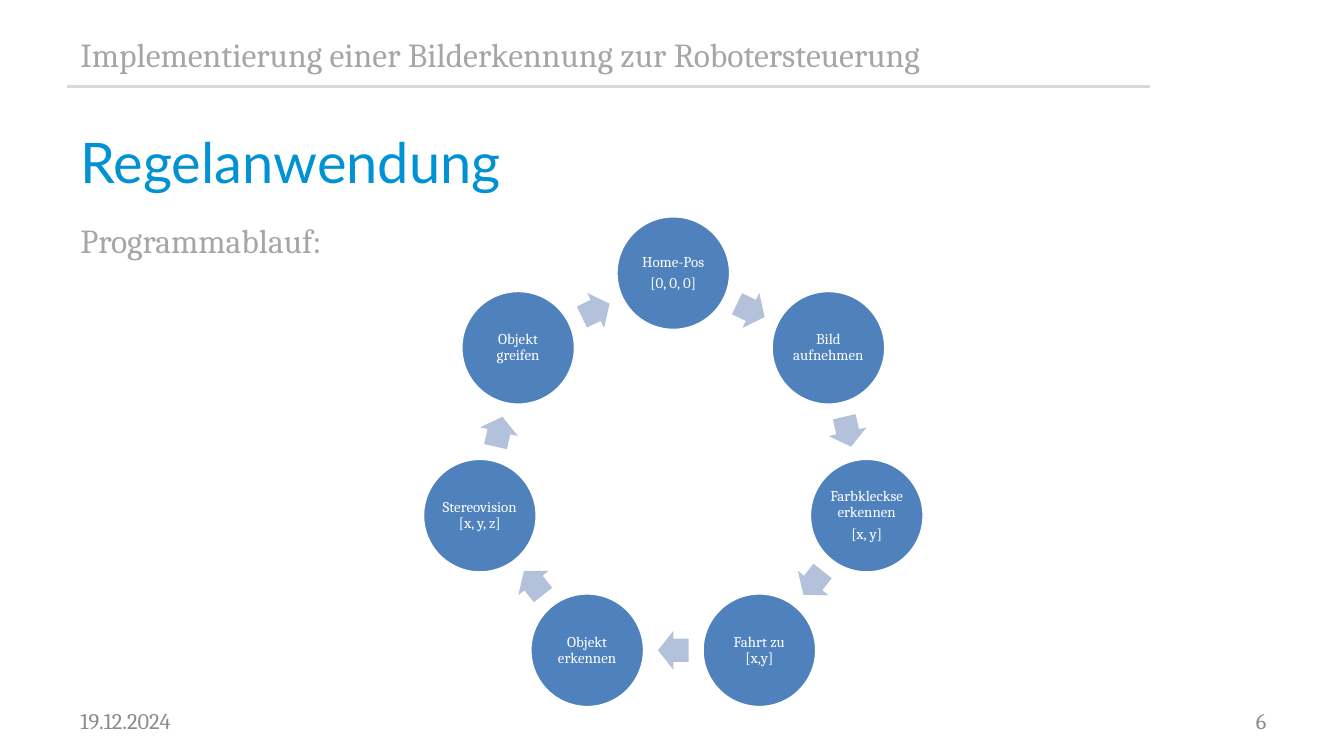
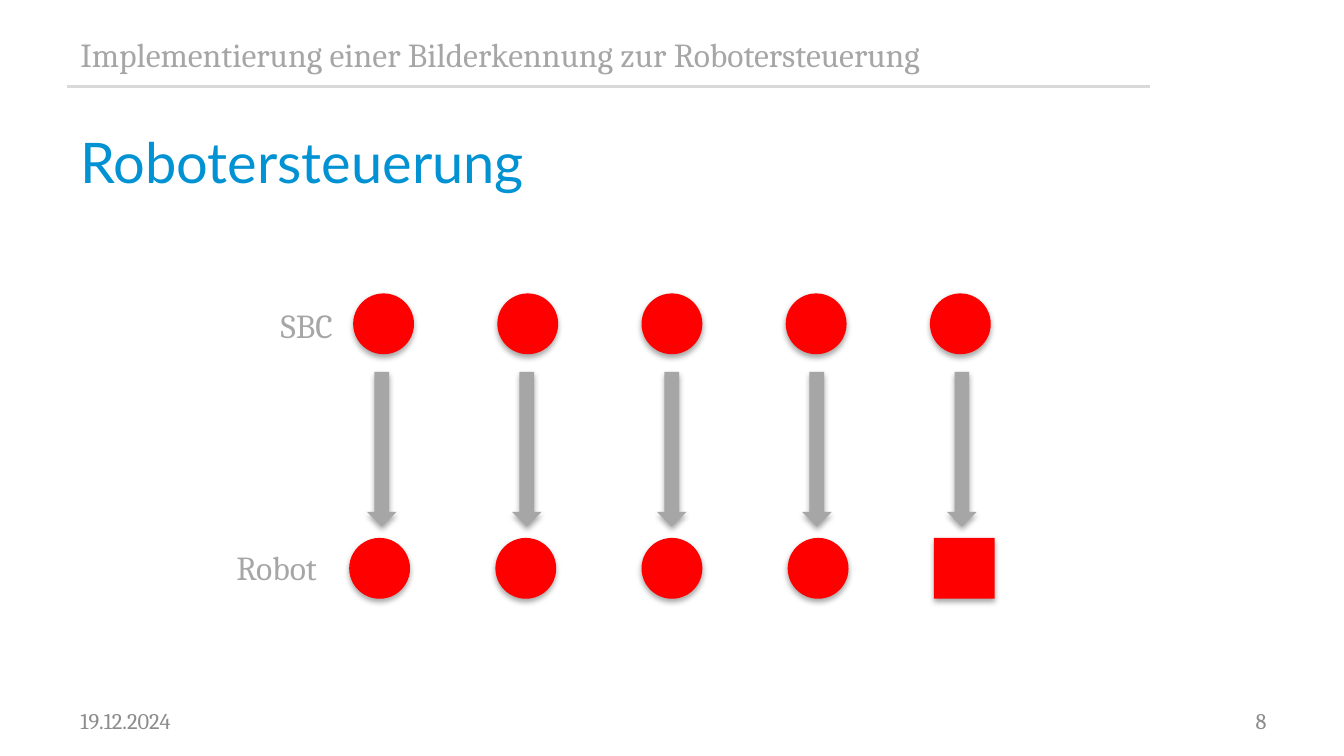
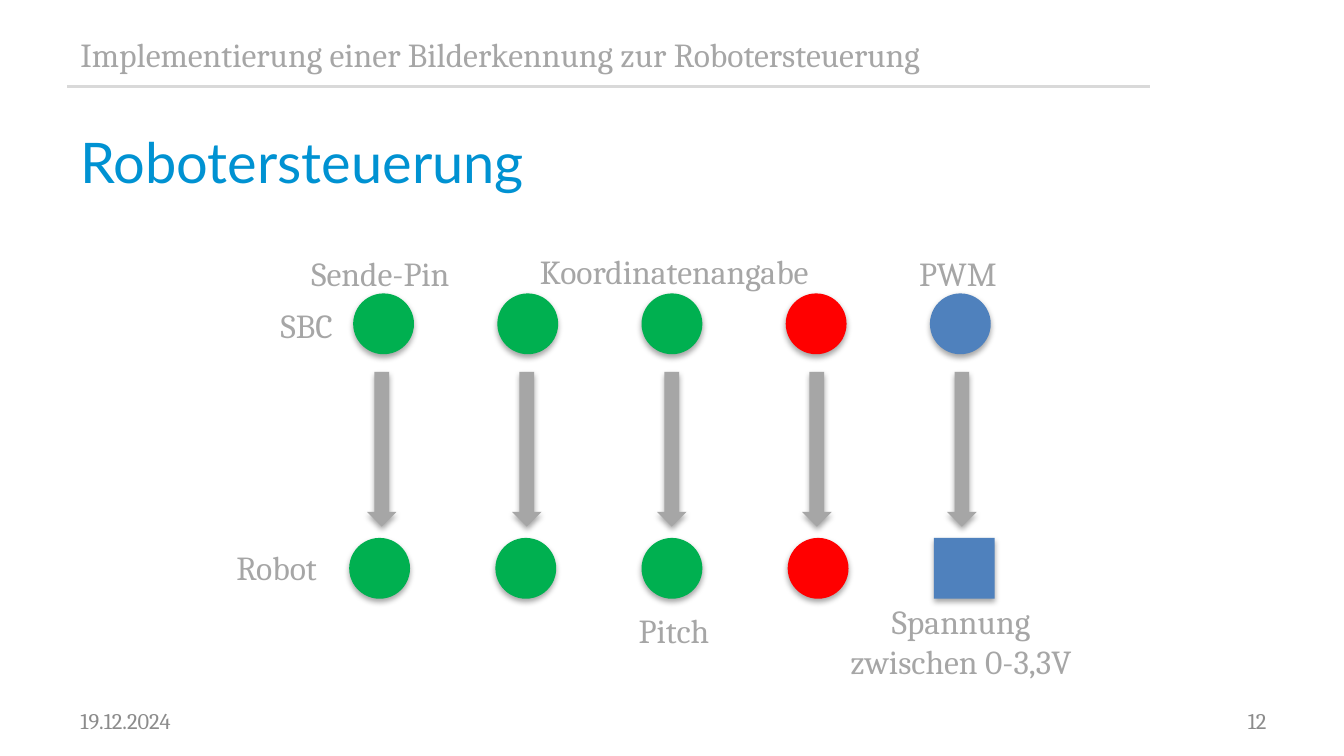
import math

from lxml import etree
from pptx import Presentation
from pptx.dml.color import RGBColor
from pptx.enum import shapes, text
from pptx.oxml import ns
from pptx.util import Pt

HUES = {
    "title": "0092D2",
    "soft": "A6A6A6",
    "foot": "8C8C8C",
    "rule": "D9D9D9",
    "white": "FFFFFF",
    "blue": "4F81BD",
    "pale": "B3C1DB",
    "red": "FF0000",
    "green": "00B050",
}
BODY = "Cambria"
HEAD = "Lato"
TOPIC = "Implementierung einer Bilderkennung zur Robotersteuerung"
DATE = "19.12.2024"
LEFT = text.PP_ALIGN.LEFT
MID = text.PP_ALIGN.CENTER
RIGHT = text.PP_ALIGN.RIGHT
KIND = shapes.MSO_SHAPE

STEPS = [
    ["Home-Pos", "[0, 0, 0]"],
    ["Bild aufnehmen"],
    ["Farbkleckse erkennen", "[x, y]"],
    ["Fahrt zu [x,y]"],
    ["Objekt erkennen"],
    ["Stereovision [x, y, z]"],
    ["Objekt greifen"],
]
NOTES = [
    ("PWM", 485.3, 131.8, 61.2, LEFT),
    ("Koordinatenangabe", 282.2, 131, 177.1, LEFT),
    ("Sende-Pin", 159.8, 131.8, 88.6, LEFT),
    ("Pitch", 290.2, 323.3, 141.8, MID),
    ("Spannung zwischen 0-3,3V", 437.8, 318.2, 154.1, MID),
]


def tint(name):
    return RGBColor.from_string(HUES[name])


def write(para, words, size, hue, font=BODY, align=LEFT):
    para.alignment = align
    run = para.add_run()
    run.text = words
    run.font.size = Pt(size)
    run.font.name = font
    run.font.color.rgb = tint(hue)


def label(slide, words, box, size=18, hue="soft", font=BODY, align=LEFT, middle=False):
    frame = slide.shapes.add_textbox(*map(Pt, box)).text_frame
    frame.word_wrap = True
    if middle:
        frame.vertical_anchor = text.MSO_ANCHOR.MIDDLE
    write(frame.paragraphs[0], words, size, hue, font, align)


def solid(slide, kind, box, hue):
    shape = slide.shapes.add_shape(kind, *map(Pt, box))
    shape.shadow.inherit = False
    shape.fill.solid()
    shape.fill.fore_color.rgb = tint(hue)
    shape.line.fill.background()
    return shape


def shade(shape):
    effects = shape._element.spPr.find(ns.qn("a:effectLst"))
    outer = etree.SubElement(
        effects,
        ns.qn("a:outerShdw"),
        blurRad=str(Pt(3.1)),
        dist=str(Pt(1.8)),
        dir="5400000",
        rotWithShape="0",
    )
    black = etree.SubElement(outer, ns.qn("a:srgbClr"), val="000000")
    etree.SubElement(black, ns.qn("a:alpha"), val="35000")


def rule(slide):
    line = slide.shapes.add_connector(
        shapes.MSO_CONNECTOR.STRAIGHT, Pt(36), Pt(46.2), Pt(616.3), Pt(46.2)
    )
    line.line.color.rgb = tint("rule")
    line.line.width = Pt(1.5)
    etree.SubElement(line._element.spPr, ns.qn("a:effectLst"))


def start(deck, title, page):
    slide = deck.slides.add_slide(deck.slide_layouts[6])
    rule(slide)
    label(slide, DATE, (36, 375, 168, 21.6), 12, "foot", middle=True)
    label(slide, TOPIC, (36, 18, 518.4, 21.6), middle=True)
    label(slide, str(page), (628.6, 375, 56.9, 21.6), 12, "foot", align=RIGHT, middle=True)
    label(slide, title, (36, 64.8, 581, 43.9), 30, "title", HEAD)
    return slide


def polar(radius, angle):
    turn = math.radians(angle)
    return 360.7 + radius * math.sin(turn), 252.6 - radius * math.cos(turn)


def step(slide, lines, spot, size=61.6):
    x, y = spot
    disc = solid(slide, KIND.OVAL, (x - size / 2, y - size / 2, size, size), "blue")
    disc.line.color.rgb = tint("white")
    disc.line.width = Pt(2)
    frame = disc.text_frame
    frame.word_wrap = True
    frame.vertical_anchor = text.MSO_ANCHOR.MIDDLE
    frame.margin_left = frame.margin_right = Pt(0.7)
    frame.margin_top = frame.margin_bottom = Pt(0.7)
    for i, words in enumerate(lines):
        para = frame.paragraphs[0] if i == 0 else frame.add_paragraph()
        para.line_spacing = 0.9
        para.space_after = Pt(2.8)
        write(para, words, 8, "white", align=MID)


def ring(slide, steps, radius=106.3):
    turn = 360 / len(steps)
    wide, high = 16.4, 20.8
    for i, lines in enumerate(steps):
        step(slide, lines, polar(radius, i * turn))
        angle = (i + 0.5) * turn
        x, y = polar(radius * math.cos(math.radians(turn / 2)), angle)
        arrow = solid(
            slide, KIND.RIGHT_ARROW, (x - wide / 2, y - high / 2, wide, high), "pale"
        )
        arrow.adjustments[0] = 0.6
        arrow.rotation = angle


def row(slide, kinds, hues, left, top, pitch, wide, high):
    for i, (kind, hue) in enumerate(zip(kinds, hues)):
        shade(solid(slide, kind, (left + i * pitch, top, wide, high), hue))


def pins(slide, hues):
    count = len(hues)
    discs = [KIND.OVAL] * count
    row(slide, discs, hues, 189.2, 157.2, 77.25, 32.6, 32.6)
    row(slide, discs[1:] + [KIND.RECTANGLE], hues, 187.1, 288.2, 78.3, 32.6, 32.6)
    row(slide, [KIND.DOWN_ARROW] * count, ["soft"] * count, 196.6, 199.2, 77.7, 15.8, 83)
    label(slide, "SBC", (143.3, 159.8, 50, 28.8))
    label(slide, "Robot", (119.5, 289.6, 67.7, 28.8))


def main():
    deck = Presentation()
    deck.slide_width, deck.slide_height = Pt(720), Pt(405)

    flow = start(deck, "Regelanwendung", 6)
    label(flow, "Programmablauf:", (36, 114.5, 648, 252.7))
    ring(flow, STEPS)

    plain = start(deck, "Robotersteuerung", 8)
    pins(plain, ["red"] * 5)

    full = start(deck, "Robotersteuerung", 12)
    pins(full, ["green"] * 3 + ["red", "blue"])
    for words, left, top, wide, align in NOTES:
        label(full, words, (left, top, wide, 28.8), align=align)

    deck.save("out.pptx")


if __name__ == "__main__":
    main()
